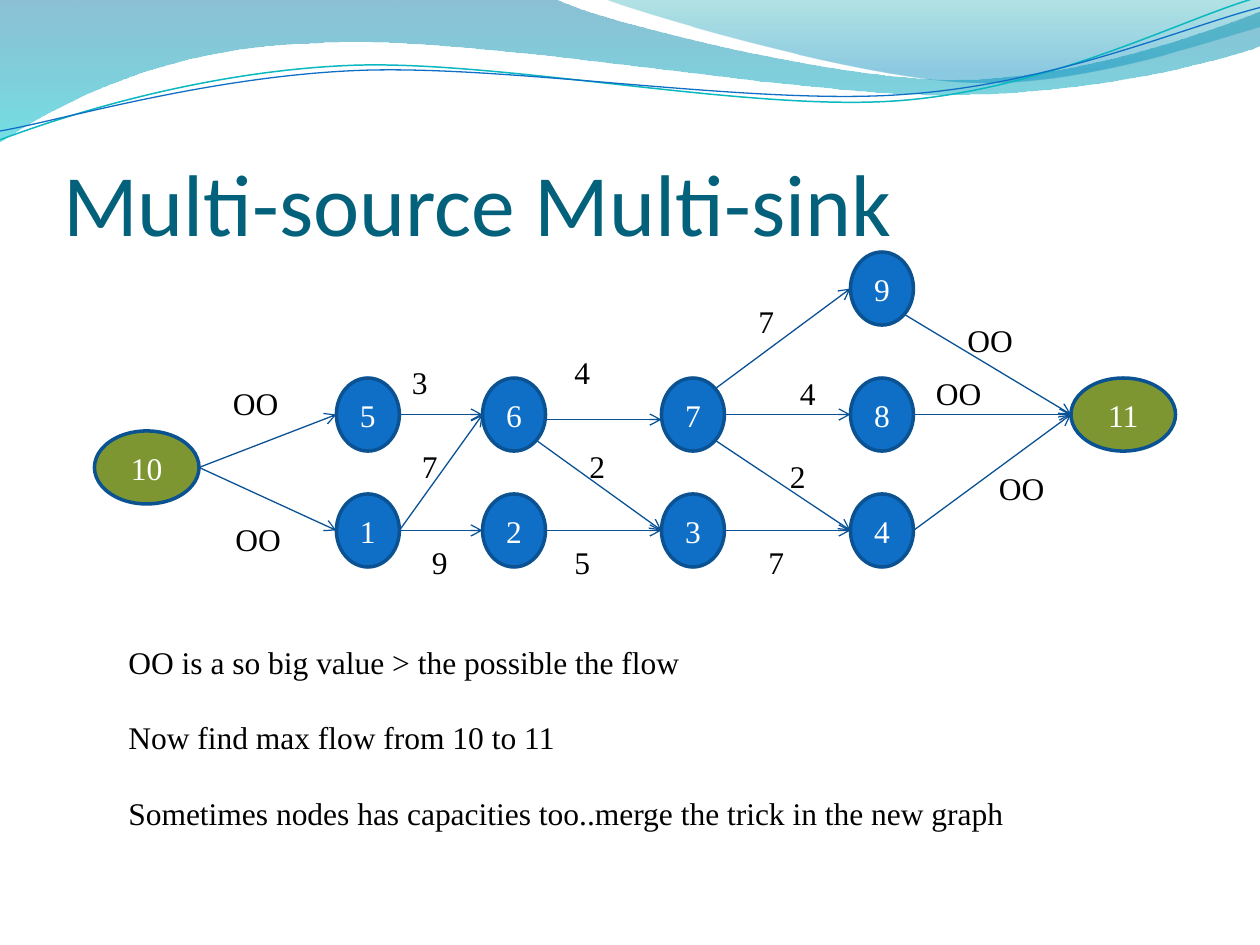
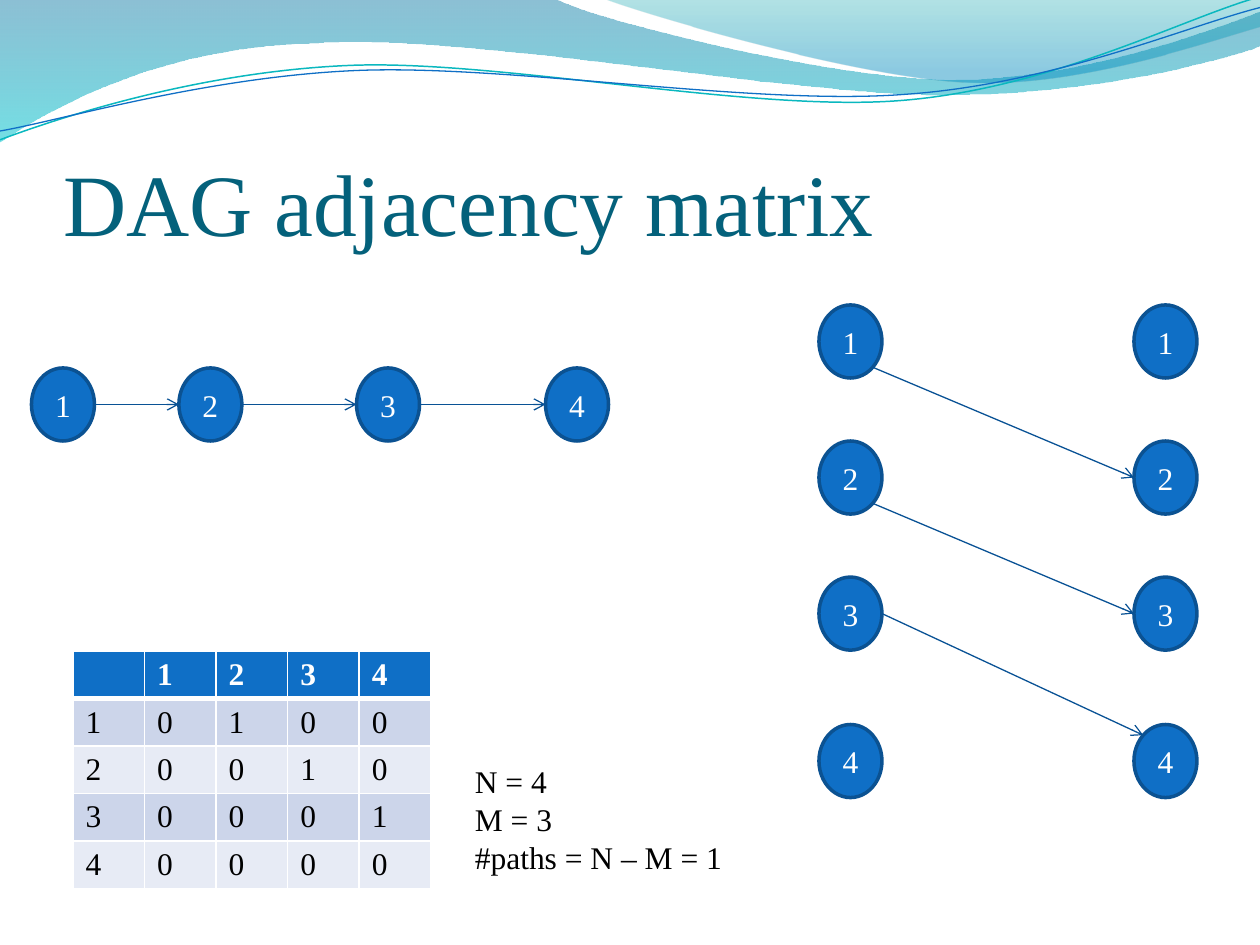
"""Build two slides on flow networks and DAG path covers."""
from dataclasses import dataclass
from math import cos, radians, sin

from lxml.etree import SubElement
from pptx import Presentation
from pptx.dml.color import RGBColor as RGB
from pptx.enum.shapes import MSO_CONNECTOR as CONN, MSO_SHAPE as SHAPE
from pptx.enum.text import MSO_ANCHOR as ANCHOR, MSO_AUTO_SIZE as AUTO, PP_ALIGN as ALIGN
from pptx.oxml import parse_xml
from pptx.oxml.ns import nsdecls, qn
from pptx.util import Inches, Pt


@dataclass(frozen=True)
class Theme:
    title: str = "04617B"
    ink: str = "000000"
    light: str = "FFFFFF"
    node: str = "0F6FC6"
    terminal: str = "7E9632"
    outline: str = "0B5292"
    edge: str = "095295"
    teal: str = "0AB8BF"
    bands: tuple = ("CCD5EA", "E7EBF5")
    left_wave: tuple = ((0, "0074A1", 45), (1, "00C6CF", 55))
    right_wave: tuple = ((0, "00A1A9", 30), (0.8, "008BBF", 45))
    heading: str = "Calibri"
    body: str = "Times New Roman"
    title_size: int = 50
    body_size: int = 18


TOP_LEFT, LEFT, BOTTOM_RIGHT, RIGHT, TOP_RIGHT = 1, 2, 5, 6, 7
NODE_W, NODE_H, TERMINAL_W = 0.5, 0.58, 0.83

LEFT_WAVE = [
    (0, 0), (4.4, -0.01),
    (4.76, 0.17, 6.64, 0.63, 7.58, 0.63), (8.53, 0.63, 9.58, 0.26, 10, 0.09),
    (10.01, 0.36),
    (9.83, 0.44, 8.7, 0.76, 7.46, 0.75), (6.22, 0.75, 3.82, 0.28, 2.57, 0.34),
    (1.29, 0.36, 0.46, 0.83, -0.01, 1.13),
]
RIGHT_WAVE = [
    (4.79, -0.01),
    (5.09, 0.11, 6.82, 0.62, 7.69, 0.65), (8.56, 0.69, 9.61, 0.32, 10, 0.21),
    (10, 0),
]
TEAL_CURVE = [
    (0, 1.11),
    (0.48, 0.93, 1.58, 0.57, 2.77, 0.52), (3.95, 0.47, 5.93, 0.89, 7.13, 0.8),
    (8.33, 0.71, 9.38, 0.15, 9.98, -0.02),
]
BLUE_CURVE = [
    (0, 1.04),
    (0.47, 0.96, 1.64, 0.61, 2.83, 0.56), (4.03, 0.51, 5.97, 0.84, 7.17, 0.75),
    (8.36, 0.67, 9.41, 0.21, 10, 0.06),
]


def bend(sp, segments):
    lines = list(sp._element.spPr.iter(qn("a:lnTo")))
    for seg in segments[1:]:
        group, lines = lines[:len(seg) // 2], lines[len(seg) // 2:]
        if len(group) == 3:
            first, *rest = group
            first.tag = qn("a:cubicBezTo")
            for line in rest:
                first.append(line[0])
                line.getparent().remove(line)


def site_point(shape, site):
    angle = radians(45 * site)
    rx, ry = shape.width / 2, shape.height / 2
    return (round(shape.left + rx - rx * sin(angle)),
            round(shape.top + ry - ry * cos(angle)))


class Deck:
    def __init__(self, theme):
        self.theme = theme
        self.prs = Presentation()
        self.prs.slide_width, self.prs.slide_height = Inches(10), Inches(7.5)
        self.s = None

    def slide(self, title, font):
        self.s = self.prs.slides.add_slide(self.prs.slide_layouts[5])
        sp = self.s.shapes.title
        sp.left, sp.top = Inches(0.5), Inches(0.77)
        sp.width, sp.height = Inches(9), Inches(1.25)
        tf = sp.text_frame
        tf.text = title
        tf.auto_size = AUTO.NONE
        tf.vertical_anchor = ANCHOR.BOTTOM
        tf.margin_left = tf.margin_right = tf.margin_bottom = 0
        tf.margin_top = Inches(0.05)
        p = tf.paragraphs[0]
        p.alignment = ALIGN.LEFT
        self.style(p, self.theme.title, self.theme.title_size, font)

    def style(self, p, color, size=None, font=None, bold=False):
        p.font.name = font or self.theme.body
        p.font.size = Pt(size or self.theme.body_size)
        p.font.bold = bold
        p.font.color.rgb = RGB.from_string(color)

    def freeform(self, segments, close):
        points = [(Inches(x), Inches(y))
                  for seg in segments for x, y in zip(seg[::2], seg[1::2])]
        builder = self.s.shapes.build_freeform(*points[0])
        builder.add_line_segments(points[1:], close=close)
        sp = builder.convert_to_shape()
        bend(sp, segments)
        sp.shadow.inherit = False
        return sp

    def wave(self, segments, stops):
        sp = self.freeform(segments, True)
        sp.line.fill.background()
        sp.fill.gradient()
        sp.fill.gradient_angle = 270
        for stop, (position, color, _) in zip(sp.fill.gradient_stops, stops):
            stop.position = position
            stop.color.rgb = RGB.from_string(color)
        colors = sp._element.spPr.iter(qn("a:srgbClr"))
        for clr, (_, _, alpha) in zip(colors, stops):
            SubElement(clr, qn("a:alpha"), val=str(alpha * 1000))
        return sp

    def curve(self, segments, color, width):
        sp = self.freeform(segments, False)
        sp.fill.background()
        self.stroke(sp.line, color, width)
        return sp

    def stroke(self, line, color, width):
        line.color.rgb = RGB.from_string(color)
        line.width = Pt(width)

    def move_to_master(self, shapes):
        tree = self.prs.slide_master.shapes._spTree
        for i, sp in enumerate(shapes):
            sp._element.nvSpPr.cNvPr.set("id", str(100 + i))
            tree.insert(2 + i, sp._element)

    def node(self, label, x, y, width=NODE_W, fill=None):
        sp = self.s.shapes.add_shape(
            SHAPE.OVAL, Inches(x), Inches(y), Inches(width), Inches(NODE_H))
        sp.shadow.inherit = False
        sp.fill.solid()
        sp.fill.fore_color.rgb = RGB.from_string(fill or self.theme.node)
        self.stroke(sp.line, self.theme.outline, 2)
        tf = sp.text_frame
        tf.text = str(label)
        tf.vertical_anchor = ANCHOR.MIDDLE
        p = tf.paragraphs[0]
        p.alignment = ALIGN.CENTER
        self.style(p, self.theme.light)
        return sp

    def edge(self, start, end, leave=RIGHT, enter=LEFT, drop=0):
        (x1, y1), (x2, y2) = site_point(start, leave), site_point(end, enter)
        dy = Inches(drop)
        line = self.s.shapes.add_connector(CONN.STRAIGHT, x1, y1 + dy, x2, y2 + dy)
        if not drop:
            ends = line._element.nvCxnSpPr.cNvCxnSpPr
            for tag, sp, site in (("a:stCxn", start, leave), ("a:endCxn", end, enter)):
                SubElement(ends, qn(tag), id=str(sp.shape_id), idx=str(site))
        self.stroke(line.line, self.theme.edge, 0.75)
        SubElement(line.line._get_or_add_ln(), qn("a:tailEnd"), type="arrow")
        SubElement(line._element.spPr, qn("a:effectLst"))

    def text(self, lines, x, y, width, height, wrap=False, gap=0):
        box = self.s.shapes.add_textbox(
            Inches(x), Inches(y), Inches(width), Inches(height))
        tf = box.text_frame
        tf.text = "\n".join(lines)
        tf.word_wrap = wrap
        tf.auto_size = AUTO.SHAPE_TO_FIT_TEXT
        for i, p in enumerate(tf.paragraphs):
            if i and gap:
                p.space_before = Pt(gap)
            self.style(p, self.theme.ink)

    def capacity(self, value, x, y):
        self.text([value], x, y, 0.33 if len(value) == 1 else 0.57, 0.4)

    def borders(self, cell, bottom):
        tc_pr = cell._tc.get_or_add_tcPr()
        for i, (side, width) in enumerate(zip("LRTB", (1, 1, 1, bottom))):
            tc_pr.insert(i, parse_xml(
                f'<a:ln{side} {nsdecls("a")} w="{Pt(width)}"><a:solidFill>'
                f'<a:srgbClr val="{self.theme.light}"/></a:solidFill></a:ln{side}>'))

    def table(self, rows, x, y, width, height):
        table = self.s.shapes.add_table(
            len(rows), len(rows[0]), Inches(x), Inches(y),
            Inches(width), Inches(height)).table
        for i, row in enumerate(rows):
            header = i == 0
            fill = self.theme.node if header else self.theme.bands[(i - 1) % 2]
            for j, value in enumerate(row):
                cell = table.cell(i, j)
                cell.text = str(value)
                cell.margin_top = cell.margin_bottom = Inches(0.04)
                cell.vertical_anchor = ANCHOR.MIDDLE
                cell.fill.solid()
                cell.fill.fore_color.rgb = RGB.from_string(fill)
                self.borders(cell, 3 if header else 1)
                self.style(cell.text_frame.paragraphs[0],
                           self.theme.light if header else self.theme.ink, bold=header)


def flow_slide(deck):
    theme = deck.theme
    deck.slide("Multi-source Multi-sink", theme.heading)
    deck.move_to_master([
        deck.wave(LEFT_WAVE, theme.left_wave),
        deck.wave(RIGHT_WAVE, theme.right_wave),
        deck.curve(TEAL_CURVE, theme.teal, 0.85),
        deck.curve(BLUE_CURVE, theme.node, 0.75),
    ])
    columns = (2.67, 3.83, 5.25, 6.75)
    n = {}
    for y, labels in ((3.92, (1, 2, 3, 4)), (3, (5, 6, 7, 8))):
        for x, label in zip(columns, labels):
            n[label] = deck.node(label, x, y)
    n[9] = deck.node(9, columns[-1], 2)
    for label, x, y in ((10, 0.75, 3.42), (11, 8.5, 3)):
        n[label] = deck.node(label, x, y, TERMINAL_W, theme.terminal)

    for a, b in ((1, 2), (2, 3), (3, 4), (1, 6), (5, 6), (7, 8),
                 (10, 5), (10, 1), (8, 11), (4, 11)):
        deck.edge(n[a], n[b])
    for a, b in ((6, 3), (7, 4), (9, 11)):
        deck.edge(n[a], n[b], leave=BOTTOM_RIGHT)
    deck.edge(n[7], n[9], leave=TOP_RIGHT)
    deck.edge(n[6], n[7], drop=0.04)

    for value, x, y in (
            ("9", 3.33, 4.26), ("5", 4.46, 4.26), ("7", 6, 4.26),
            ("3", 3.17, 2.83), ("4", 4.46, 2.75), ("2", 4.58, 3.5),
            ("7", 3.25, 3.5), ("4", 6.25, 2.92), ("7", 5.92, 2.35),
            ("2", 6.17, 3.58), ("OO", 1.75, 3), ("OO", 1.77, 4.08),
            ("OO", 7.58, 2.5), ("OO", 7.33, 2.92), ("OO", 7.83, 3.67)):
        deck.capacity(value, x, y)
    deck.text(["OO is a so big value > the possible the flow",
               "Now find max flow from 10 to 11",
               "Sometimes nodes has capacities too..merge the trick in the new graph"],
              0.92, 5.05, 7.25, 1.62, wrap=True, gap=21.6)


def dag_slide(deck):
    deck.slide("DAG adjacency matrix", deck.theme.body)
    size = 4
    labels = range(1, size + 1)
    matrix = [[i, *(int(j == i + 1) for j in labels)] for i in labels]
    deck.table([["", *labels], *matrix], 0.58, 5.17, 2.84, 1.88)

    chain = [deck.node(i, x, 2.92) for i, x in zip(labels, (0.25, 1.42, 2.83, 4.33))]
    for a, b in zip(chain, chain[1:]):
        deck.edge(a, b)

    rows = (2.42, 3.5, 4.58, 5.75)
    sources, targets = ([deck.node(i, x, y) for i, y in zip(labels, rows)]
                        for x in (6.5, 9))
    sites = ((BOTTOM_RIGHT, LEFT), (BOTTOM_RIGHT, LEFT), (RIGHT, TOP_LEFT))
    for a, b, (leave, enter) in zip(sources, targets[1:], sites):
        deck.edge(a, b, leave, enter)

    deck.text(["N = 4", "M = 3", "#paths = N – M = 1"], 3.67, 6, 2.18, 1.01)


def main():
    deck = Deck(Theme())
    flow_slide(deck)
    dag_slide(deck)
    deck.prs.save("out.pptx")


if __name__ == "__main__":
    main()
